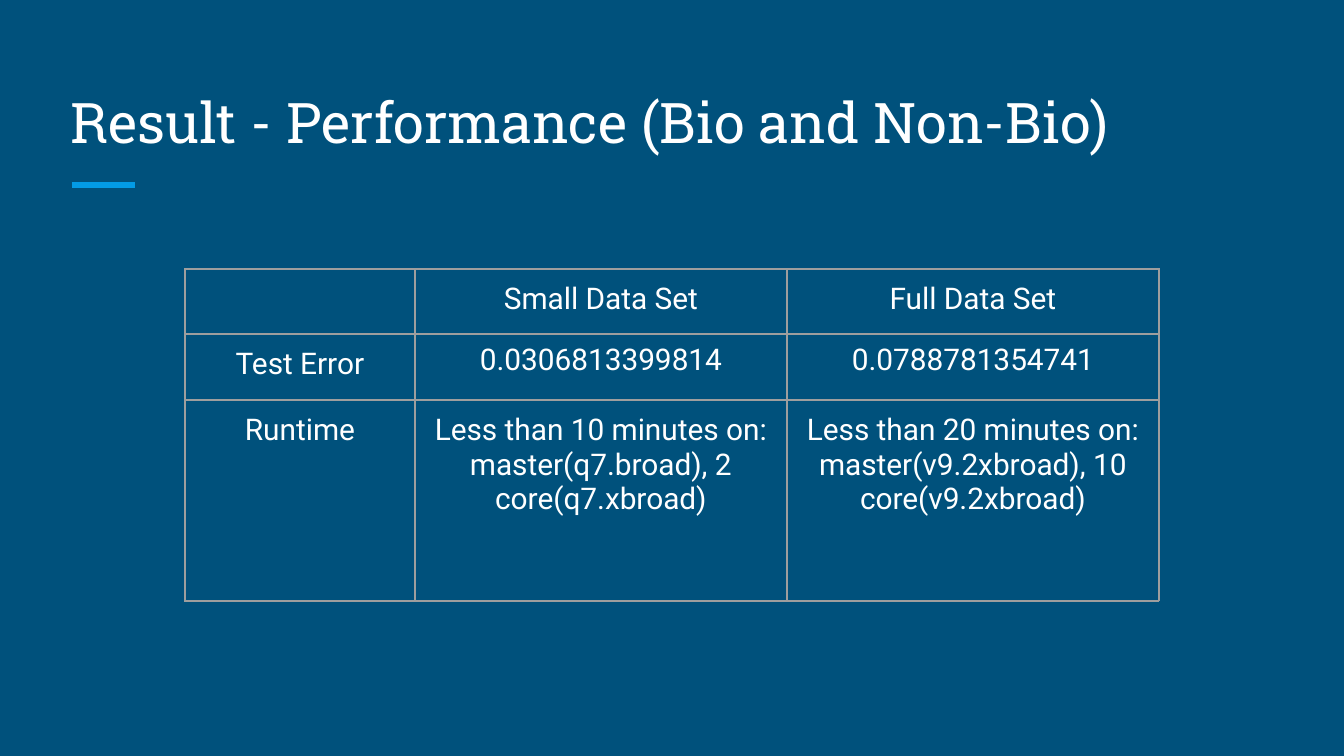
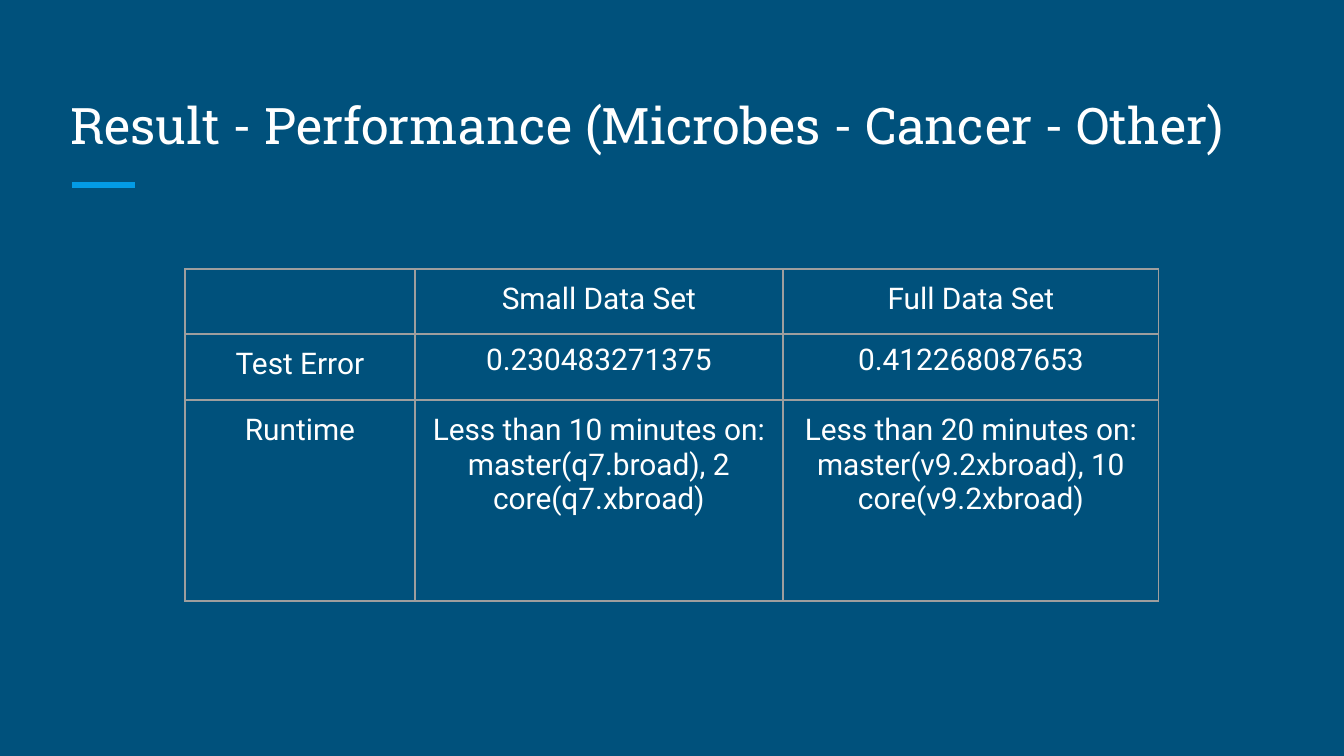
from lxml import etree
from pptx import Presentation
from pptx.dml.color import RGBColor
from pptx.enum.shapes import MSO_CONNECTOR
from pptx.enum.text import MSO_ANCHOR, MSO_AUTO_SIZE, PP_ALIGN
from pptx.oxml.ns import qn
from pptx.util import Pt

STRAIGHT = MSO_CONNECTOR.STRAIGHT
BOTTOM, TOP = MSO_ANCHOR.BOTTOM, MSO_ANCHOR.TOP
NO_FIT = MSO_AUTO_SIZE.NONE
LEFT, CENTER = PP_ALIGN.LEFT, PP_ALIGN.CENTER
NAVY, BLUE, GREY, WHITE = "00517C", "039BE5", "9E9E9E", "FFFFFF"
SIDES = "left", "top", "right", "bottom"


def px(n):
    return round(n * 914400 / 134.4)


def color(code):
    return RGBColor.from_string(code)


# Slide content: title, title size, column widths, test errors
slides = [
    ("Result - Performance (Bio and Non-Bio)", 30, (230, 372, 372),
     ("0.0306813399814", "0.0788781354741")),
    ("Result - Performance (Microbes - Cancer - Other)", 27, (230, 368, 376),
     ("0.230483271375", "0.412268087653")),
]
head = ("", "Small Data Set", "Full Data Set")
times = ("Runtime",
         "Less than 10 minutes on:\nmaster(q7.broad), 2 core(q7.xbroad)",
         "Less than 20 minutes on: master(v9.2xbroad), 10 core(v9.2xbroad)")
heights = (65, 66, 201)

# Page and shared background
prs = Presentation()
prs.slide_width, prs.slide_height = px(1344), px(756)
back = prs.slide_master.background.fill
back.solid()
back.fore_color.rgb = color(NAVY)
layout = prs.slide_layouts.get_by_name("Title Only")

for text, size, widths, errors in slides:
    slide = prs.slides.add_slide(layout)

    # Accent line
    line = slide.shapes.add_connector(STRAIGHT, px(72), px(185), px(135), px(185))
    line.line.color.rgb = color(BLUE)
    line.line.width = Pt(3)
    etree.SubElement(line._element.spPr, qn("a:effectLst"))

    # Title
    title = slide.shapes.title
    place = {"left": 57, "top": 67, "width": 1230, "height": 101}
    for key, value in place.items():
        setattr(title, key, px(value))
    frame = title.text_frame
    frame.text = text
    style = {"word_wrap": True, "auto_size": NO_FIT, "vertical_anchor": BOTTOM}
    style.update({f"margin_{side}": px(13) for side in SIDES})
    for key, value in style.items():
        setattr(frame, key, value)
    para = frame.paragraphs[0]
    para.alignment = LEFT
    font = para.runs[0].font
    font.name, font.size = "Roboto Slab", Pt(size)
    font.color.rgb = color(WHITE)

    # Result table
    rows = (head, ("Test Error", *errors), times)
    table = slide.shapes.add_table(len(rows), len(widths), px(185), px(269),
                                   px(sum(widths)), px(sum(heights))).table
    table.first_row = table.horz_banding = False
    for col, width in zip(table.columns, widths):
        col.width = px(width)
    for row, height in zip(table.rows, heights):
        row.height = px(height)

    for r, row in enumerate(rows):
        for c, words in enumerate(row):
            cell = table.cell(r, c)

            # Borders, then a clear fill
            props = cell._tc.get_or_add_tcPr()
            for tag in ("a:lnL", "a:lnR", "a:lnT", "a:lnB"):
                edge = etree.SubElement(props, qn(tag), w=str(Pt(0.75)))
                fill = etree.SubElement(edge, qn("a:solidFill"))
                etree.SubElement(fill, qn("a:srgbClr"), val=GREY)
            cell.fill.background()
            if not words:
                continue

            # Cell text, with tighter margins around the errors
            cell.text = words
            cell.vertical_anchor = TOP
            gap = 9 if words in errors else 13
            for side in SIDES:
                setattr(cell, f"margin_{side}", px(gap))
            for para in cell.text_frame.paragraphs:
                para.alignment = CENTER
                font = para.runs[0].font
                font.name, font.size = "Roboto", Pt(16)
                font.color.rgb = color(WHITE)

prs.save("out.pptx")
